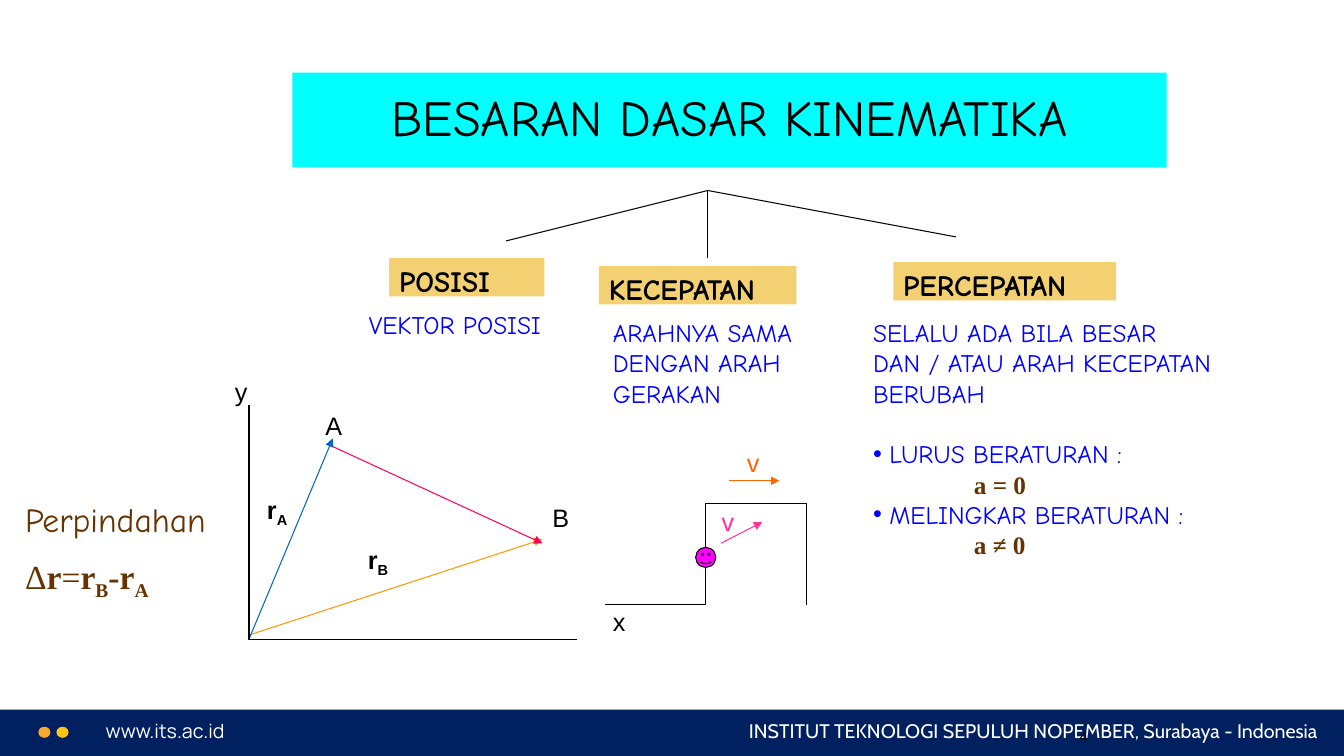
from lxml.etree import SubElement
from pptx import Presentation
from pptx.dml.color import RGBColor
from pptx.enum.shapes import MSO_CONNECTOR, MSO_SHAPE
from pptx.enum.text import MSO_ANCHOR, MSO_AUTO_SIZE, PP_ALIGN
from pptx.oxml.ns import qn
from pptx.util import Inches, Pt

BLACK, WHITE, BLUE, BROWN = "000000", "FFFFFF", "0000FF", "663300"
COMIC, SERIF = "Comic Neue", "Times New Roman"


def write(paragraph, text, color, baseline=0, **format_values):
    """Append a run; baseline is a percentage, negative for a subscript."""
    run = paragraph.add_run()
    run.text = text
    run.font.color.rgb = RGBColor.from_string(color)
    for name, value in format_values.items():
        setattr(run.font, name, value)
    if baseline:
        run._r.get_or_add_rPr().set("baseline", str(baseline * 1000))


def add_filled(kind, left, top, width, height, color):
    shape = slide.shapes.add_shape(
        kind, Inches(left), Inches(top), Inches(width), Inches(height))
    shape.shadow.inherit = False
    shape.fill.solid()
    shape.fill.fore_color.rgb = RGBColor.from_string(color)
    shape.line.fill.background()
    return shape


presentation = Presentation()
presentation.slide_width = Inches(13.33)
presentation.slide_height = Inches(7.5)
slide = presentation.slides.add_slide(presentation.slide_layouts[1])
title, body = slide.placeholders

# Footer
add_filled(MSO_SHAPE.RECTANGLE, 0, 7.04, 13.33, 0.46, "002060")
for left, color in ((0.38, "F5AA2D"), (0.56, "FFC411")):
    add_filled(MSO_SHAPE.OVAL, left, 7.21, 0.12, 0.11, color)
footer_texts = [
    (0.95, 7.08, 4.28, 0.34, "www.its.ac.id", WHITE, "Manrope", 14, PP_ALIGN.LEFT),
    (5.91, 7.08, 7.26, 0.34, "INSTITUT TEKNOLOGI SEPULUH NOPEMBER, Surabaya - Indonesia",
     WHITE, "Cabin", 14, PP_ALIGN.RIGHT),
    (8.56, 7.04, 2.33, 0.52, "4", BLACK, "Calibri", 12, PP_ALIGN.RIGHT),
]
for left, top, width, height, text, color, font, size, alignment in footer_texts:
    box = slide.shapes.add_textbox(Inches(left), Inches(top), Inches(width), Inches(height))
    box.text_frame.word_wrap = True
    box.text_frame.vertical_anchor = MSO_ANCHOR.MIDDLE
    paragraph = box.text_frame.paragraphs[0]
    paragraph.alignment = alignment
    write(paragraph, text, color, name=font, size=Pt(size))

# Title
title.left, title.top, title.width, title.height = map(Inches, (2.9, 0.72, 8.67, 0.94))
title.fill.solid()
title.fill.fore_color.rgb = RGBColor.from_string("00FFFF")
title.text_frame.auto_size = MSO_AUTO_SIZE.NONE
title.text_frame.vertical_anchor = MSO_ANCHOR.MIDDLE
paragraph = title.text_frame.paragraphs[0]
paragraph.alignment = PP_ALIGN.CENTER
paragraph.line_spacing = 0.9
write(paragraph, "BESARAN DASAR KINEMATIKA", BLACK, name=COMIC, size=Pt(36))

# Axes, vectors and branches: start, end, colour, arrowhead
branch_top = (7.02, 1.89)
lines = [
    ((2.47, 6.34), (5.72, 6.34), BLACK, False),
    ((2.47, 6.3), (5.38, 5.35), "FF9900", True),
    ((2.47, 6.34), (3.3, 4.35), "0563C1", True),
    ((2.47, 6.35), (2.47, 4.02), BLACK, False),
    ((3.3, 4.43), (5.38, 5.39), "FF0066", True),
    (branch_top, (5.02, 2.39), BLACK, False),
    (branch_top, (7.02, 2.56), BLACK, False),
    (branch_top, (9.48, 2.35), BLACK, False),
    ((7.23, 4.77), (7.73, 4.77), "FF6600", True),
    ((7.15, 5.39), (7.56, 5.18), "FF3399", True),
]
for start, end, color, has_arrow in lines:
    connector = slide.shapes.add_connector(
        MSO_CONNECTOR.STRAIGHT, *map(Inches, start + end))
    connector.line.color.rgb = RGBColor.from_string(color)
    connector.line.width = Pt(0.75)
    if has_arrow:
        SubElement(connector.line._get_or_add_ln(), qn("a:tailEnd"), type="triangle")
    SubElement(connector._element.spPr, qn("a:effectLst"))

# Diagram labels: left, top, width, letter, subscript, colour
labels = [
    (3.13, 4.02, 0.33, "A", "", BLACK),
    (5.38, 4.93, 0.33, "B", "", BLACK),
    (2.55, 4.85, 0.5, "r", "A", BLACK),
    (3.55, 5.35, 0.58, "r", "B", BLACK),
    (5.98, 5.97, 0.39, "x", "", BLACK),
    (2.23, 3.68, 0.58, "y", "", BLACK),
    (7.31, 4.39, 0.42, "v", "", "FF6600"),
    (7.06, 4.97, 0.42, "v", "", "FF3399"),
]
for left, top, width, letter, subscript, color in labels:
    box = slide.shapes.add_textbox(Inches(left), Inches(top), Inches(width), Inches(0.4))
    box.text_frame.word_wrap = True
    label_format = {"name": "Arial", "size": Pt(18), "bold": bool(subscript)}
    paragraph = box.text_frame.paragraphs[0]
    write(paragraph, letter, color, **label_format)
    if subscript:
        write(paragraph, subscript, color, baseline=-25, **label_format)

# Displacement formula
box = slide.shapes.add_textbox(Inches(0.15), Inches(4.9), Inches(2.25), Inches(1.1))
box.text_frame.word_wrap = True
write(box.text_frame.paragraphs[0], "Perpindahan", BROWN, name=COMIC, size=Pt(24))
formula = box.text_frame.add_paragraph()
formula.space_before = Pt(12)
for text, bold, baseline in (("Δ", False, 0), ("r", True, 0), ("=", False, 0), ("r", True, 0),
                             ("B", True, -25), ("-r", True, 0), ("A", True, -25)):
    write(formula, text, BROWN, baseline, name=SERIF, size=Pt(24), bold=bold)

# Column headings
for left, top, width, text in ((3.86, 2.56, 1.54, "POSISI"),
                               (5.94, 2.64, 1.96, "KECEPATAN"),
                               (8.86, 2.6, 2.21, "PERCEPATAN")):
    heading = add_filled(MSO_SHAPE.RECTANGLE, left, top, width, 0.38, "F3D173")
    heading.text_frame.vertical_anchor = MSO_ANCHOR.TOP
    paragraph = heading.text_frame.paragraphs[0]
    paragraph.alignment = PP_ALIGN.LEFT
    write(paragraph, text, BLACK, name=COMIC, size=Pt(21), bold=True)

# Column descriptions
descriptions = [
    (3.56, 3.02, 2.3, 0.4, ["VEKTOR POSISI"]),
    (5.98, 3.1, 2.5, 1, ["ARAHNYA SAMA", "DENGAN ARAH", "GERAKAN"]),
]
for left, top, width, height, texts in descriptions:
    box = slide.shapes.add_textbox(Inches(left), Inches(top), Inches(width), Inches(height))
    box.text_frame.word_wrap = True
    for index, text in enumerate(texts):
        paragraph = box.text_frame.add_paragraph() if index else box.text_frame.paragraphs[0]
        write(paragraph, text, BLUE, name=COMIC, size=Pt(18))

# Acceleration list: text, left margin, bulleted, space before, format
body.left, body.top, body.width, body.height = map(Inches, (8.56, 3.1, 3.67, 2.5))
body.text_frame.auto_size = MSO_AUTO_SIZE.NONE
plain = {"color": BLUE, "name": COMIC, "bold": False}
equation = {"color": BROWN, "name": SERIF, "bold": True}
acceleration = [
    ("SELALU ADA BILA BESAR DAN / ATAU ARAH KECEPATAN BERUBAH", 0, False, 0, plain),
    ("LURUS BERATURAN :", 0.16, True, 21.7, plain),
    ("a = 0", 1, False, 0, equation),
    ("MELINGKAR BERATURAN :", 0.16, True, 0, plain),
    ("a ≠ 0", 1, False, 0, equation),
]
for index, (text, margin, bulleted, space, format_values) in enumerate(acceleration):
    paragraph = body.text_frame.add_paragraph() if index else body.text_frame.paragraphs[0]
    properties = paragraph._p.get_or_add_pPr()
    properties.set("marL", str(Inches(margin)))
    properties.set("indent", str(-Inches(margin) if bulleted else 0))
    if not bulleted:
        SubElement(properties, qn("a:buNone"))
    paragraph.space_before = Pt(space)
    write(paragraph, text, size=Pt(18), **format_values)

# Wavy track, sampled from cubic curves
track_start = (5.9, 5.52)
track_curves = [
    ((6.09, 5.69), (6.29, 5.86), (6.56, 5.85)),
    ((6.84, 5.84), (7.29, 5.4), (7.56, 5.43)),
    ((7.84, 5.46), (8.09, 5.9), (8.23, 6.02)),
    ((8.37, 6.13), (8.38, 6.11), (8.4, 6.1)),
]
steps = 16
track_points = []
curve_start = track_start
for curve in track_curves:
    for step in range(1, steps + 1):
        t = step / steps
        weights = ((1 - t) ** 3, 3 * t * (1 - t) ** 2, 3 * t ** 2 * (1 - t), t ** 3)
        track_points.append([sum(weight * value for weight, value in zip(weights, values))
                             for values in zip(curve_start, *curve)])
    curve_start = curve[-1]
builder = slide.shapes.build_freeform(*track_start, scale=Inches(1))
builder.add_line_segments(track_points, close=False)
track = builder.convert_to_shape()
track.shadow.inherit = False
track.fill.background()

smiley = add_filled(MSO_SHAPE.SMILEY_FACE, 6.9, 5.43, 0.2, 0.2, "FF00FF")
for shape in (track, smiley):
    shape.line.color.rgb = RGBColor.from_string(BLACK)
    shape.line.width = Pt(0.75)

presentation.save("out.pptx")
